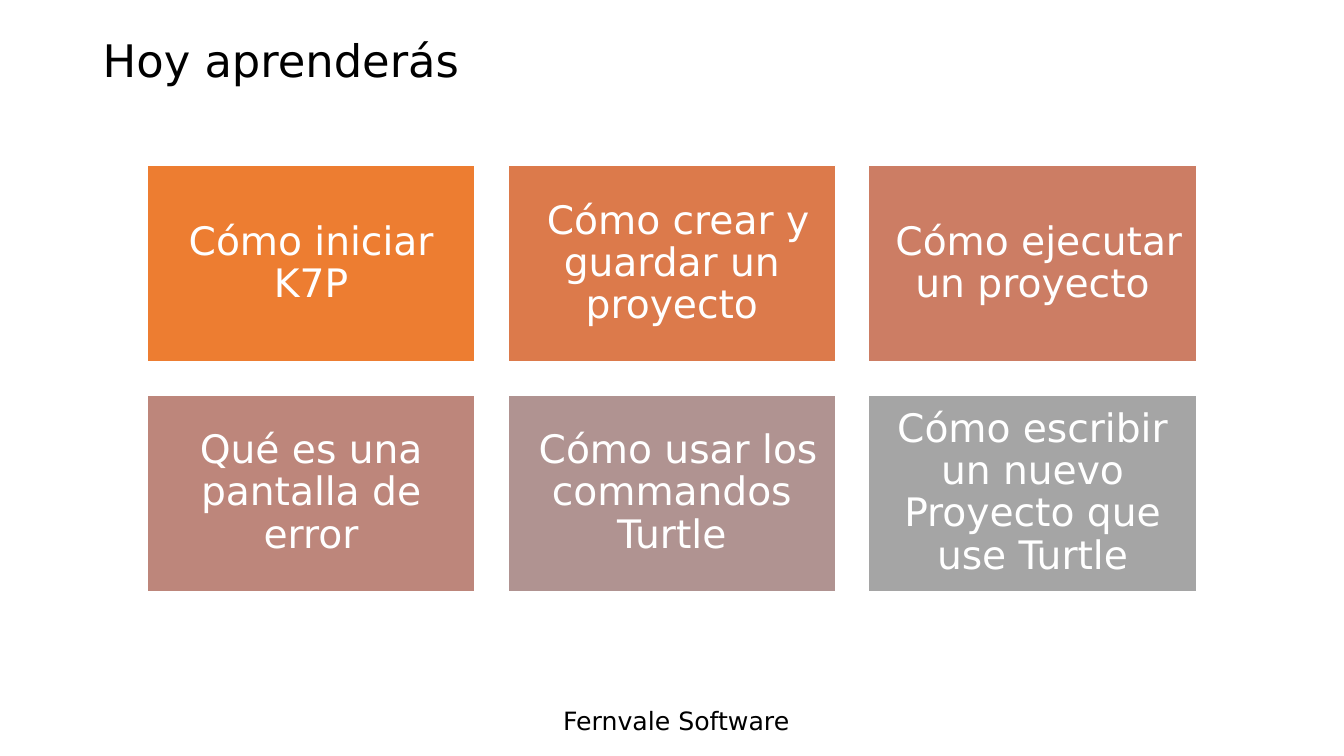
from pptx import Presentation
from pptx import util as u
from pptx.dml.color import RGBColor
from pptx.enum import shapes, text

FONT = "DejaVu Sans"
COLS = 3
LEFT, TOP = 3.71, 4.17      # first card, cm
WIDE, HIGH = 8.26, 4.95     # card size, cm
GAP = 0.83                  # between cards, cm

# Wording and fill of each card, in reading order
CARDS = [
    ("Cómo iniciar K7P", "ED7D31"),
    (" Cómo crear y guardar un proyecto", "DC7A4B"),
    (" Cómo ejecutar un proyecto", "CC7D64"),
    ("Qué es una pantalla de error", "BD867B"),
    (" Cómo usar los commandos Turtle", "B09391"),
    ("Cómo escribir un nuevo Proyecto que use Turtle", "A5A5A5"),
]


def paint(target, color):
    target.rgb = RGBColor.from_string(color)


def write(frame, words, size, color, align, space=1.0):
    frame.word_wrap = True
    para = frame.paragraphs[0]
    para.alignment = align
    para.line_spacing = space
    run = para.add_run()
    run.text = words
    run.font.name = FONT
    run.font.size = u.Pt(size)
    paint(run.font.color, color)


def add_label(slide, box, words, size, anchor, space=1.0):
    label = slide.shapes.add_textbox(*map(u.Cm, box))
    frame = label.text_frame
    frame.vertical_anchor = anchor
    write(frame, words, size, "000000", text.PP_ALIGN.LEFT, space)


def add_card(slide, index, words, color):
    row, col = divmod(index, COLS)
    left = LEFT + col * (WIDE + GAP)
    top = TOP + row * (HIGH + GAP)
    card = slide.shapes.add_shape(
        shapes.MSO_SHAPE.RECTANGLE, *map(u.Cm, (left, top, WIDE, HIGH)))
    card.shadow.inherit = False
    card.fill.solid()
    paint(card.fill.fore_color, color)
    paint(card.line.color, "FFFFFF")
    card.line.width = u.Pt(1)
    frame = card.text_frame
    frame.margin_left = frame.margin_right = u.Cm(0.3)
    frame.margin_top = frame.margin_bottom = u.Cm(0.3)
    frame.vertical_anchor = text.MSO_ANCHOR.MIDDLE
    write(frame, words, 28, "FFFFFF", text.PP_ALIGN.CENTER, 0.9)


def main():
    deck = Presentation()
    deck.slide_width, deck.slide_height = u.Cm(33.87), u.Cm(19.05)
    slide = deck.slides.add_slide(deck.slide_layouts[6])

    # Footer and title
    add_label(slide, (13.94, 17.65, 7.37, 1.02), "Fernvale Software", 18,
              text.MSO_ANCHOR.TOP)
    add_label(slide, (2.34, 0.38, 29.21, 2.41), "Hoy aprenderás", 32,
              text.MSO_ANCHOR.MIDDLE, 0.9)

    # Grid of topics
    for index, (words, color) in enumerate(CARDS):
        add_card(slide, index, words, color)

    deck.save("out.pptx")


if __name__ == "__main__":
    main()
